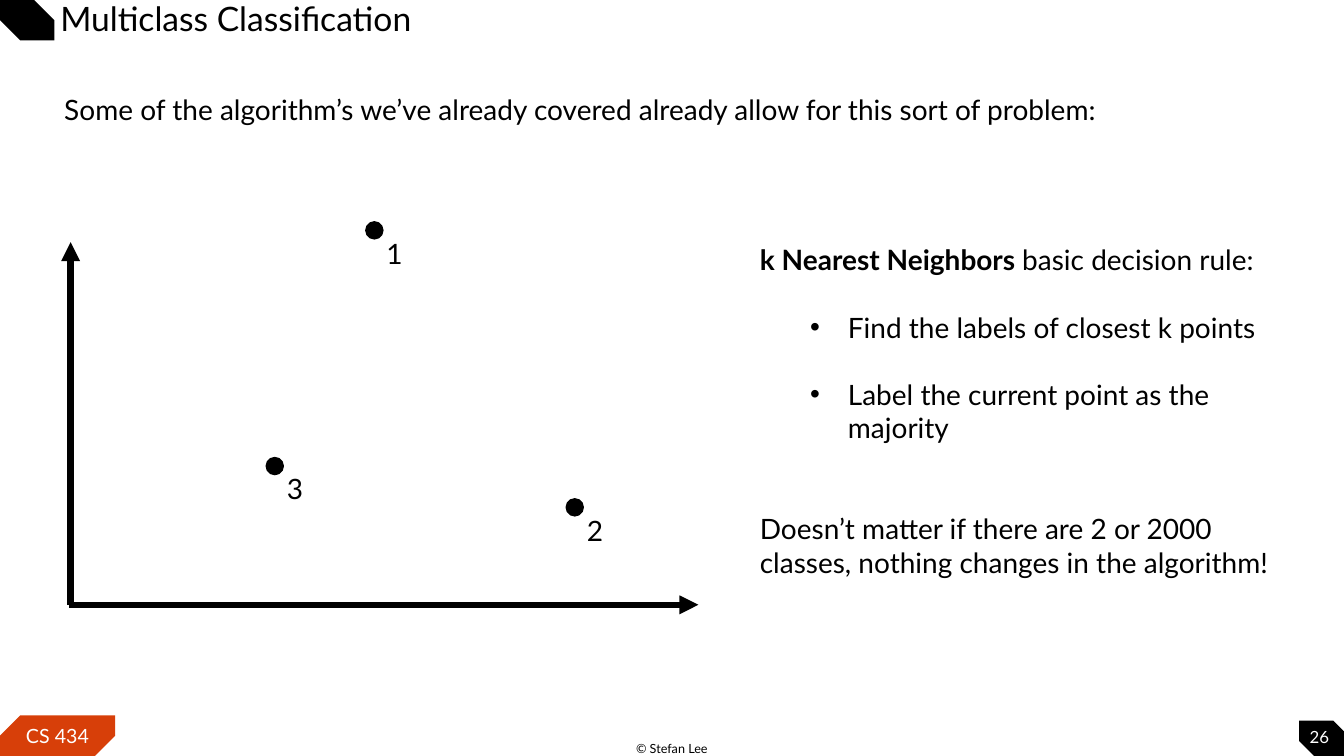
"""Build the slide on multiclass classification with k nearest neighbors."""
from lxml import etree
from pptx import Presentation
from pptx.dml.color import RGBColor
from pptx.enum.shapes import MSO_CONNECTOR as Connector, MSO_SHAPE as Shape
from pptx.enum.text import MSO_ANCHOR as Anchor, PP_ALIGN as Align
from pptx.oxml.ns import qn
from pptx.util import Cm, Pt

BLACK, WHITE, ORANGE = "000000", "FFFFFF", "D73F09"


def color(value):
    """Turn a hex string into a color."""
    return RGBColor.from_string(value)


def apply_format(target, values):
    """Set each attribute in values on target."""
    for name, value in values.items():
        setattr(target, name, value)


class SlideBuilder:
    """Hold the style and the current slide."""

    font_name = "Lato"
    inset = (0.25, 0.13, 0.25, 0.13)

    def __init__(self, slide):
        """Keep the slide to draw on."""
        self.slide = slide

    def add_runs(self, paragraph, runs, size, ink=BLACK, **layout):
        """Fill a paragraph with (text, bold) runs."""
        apply_format(paragraph, layout)
        for text, bold in runs:
            run = paragraph.add_run()
            run.text = text
            apply_format(run.font, {"name": self.font_name, "size": Pt(size), "bold": bold})
            run.font.color.rgb = color(ink)

    def frame(self, shape, inset=inset, anchor=Anchor.TOP, wrap=True):
        """Set the margins, anchor and wrapping of a shape's text."""
        left, top, right, bottom = map(Cm, inset)
        frame = shape.text_frame
        apply_format(frame, {
            "margin_left": left, "margin_top": top, "margin_right": right,
            "margin_bottom": bottom, "vertical_anchor": anchor, "word_wrap": wrap,
        })
        return frame

    def text(self, box, text, size, ink=BLACK, layout=None, **frame_format):
        """Add a text box with one paragraph."""
        shape = self.slide.shapes.add_textbox(*map(Cm, box))
        frame = self.frame(shape, **frame_format)
        self.add_runs(frame.paragraphs[0], [(text, False)], size, ink, **(layout or {}))

    def paragraphs(self, box, items, size):
        """Add a text box of (runs, bulleted, space before) paragraphs."""
        frame = self.frame(self.slide.shapes.add_textbox(*map(Cm, box)))
        for index, (runs, bulleted, space) in enumerate(items):
            paragraph = frame.add_paragraph() if index else frame.paragraphs[0]
            if bulleted:
                self.bullet(paragraph)
            self.add_runs(paragraph, runs, size, space_before=Pt(space))

    def bullet(self, paragraph):
        """Give a paragraph a bullet and a hanging indent."""
        properties = paragraph._p.get_or_add_pPr()
        properties.set("marL", str(Cm(2.22)))
        properties.set("indent", str(-Cm(0.95)))
        etree.SubElement(properties, qn("a:buFont")).set("typeface", "Arial")
        etree.SubElement(properties, qn("a:buChar")).set("char", "•")

    def shape(self, kind, box, fill, adjustments=()):
        """Add a filled shape without an outline."""
        shape = self.slide.shapes.add_shape(kind, *map(Cm, box))
        shape.shadow.inherit = False
        shape.fill.solid()
        shape.fill.fore_color.rgb = color(fill)
        shape.line.fill.background()
        for index, value in enumerate(adjustments):
            shape.adjustments[index] = value
        return shape

    def tab(self, box, fill, adjustments, label=None):
        """Add a corner tab, with a centered label if given."""
        shape = self.shape(Shape.SNIP_2_DIAG_RECTANGLE, box, fill, adjustments)
        if label:
            frame = self.frame(shape, anchor=Anchor.MIDDLE)
            self.add_runs(frame.paragraphs[0], [(label, False)], 14, WHITE,
                          alignment=Align.CENTER)

    def arrow(self, start, end):
        """Add a thick line with an arrowhead at its end."""
        connector = self.slide.shapes.add_connector(Connector.STRAIGHT, *map(Cm, start + end))
        connector.line.width = Pt(4.5)
        connector.line.color.rgb = color(BLACK)
        properties = connector._element.spPr
        etree.SubElement(properties.find(qn("a:ln")), qn("a:tailEnd")).set("type", "triangle")
        etree.SubElement(properties, qn("a:effectLst"))

    def point(self, left, top, label):
        """Add a data point with its label at the lower right."""
        dot = self.shape(Shape.OVAL, (left, top, 0.43, 0.43), BLACK)
        dot.line.color.rgb = color(BLACK)
        dot.line.width = Pt(1)
        self.text((left + 0.27, top + 0.23, 0.64, 1.12), label, 20,
                  inset=(0.25, 0.13, 0, 0.13), wrap=False)


def main():
    """Draw the slide and save it."""
    presentation = Presentation()
    presentation.slide_width, presentation.slide_height = Cm(33.87), Cm(19.05)
    builder = SlideBuilder(presentation.slides.add_slide(presentation.slide_layouts[6]))
    centered = {"alignment": Align.CENTER}

    builder.tab((32.74, 18.16, 1.37, 1.02), BLACK, (0, 0.5))
    builder.tab((0, 18.03, 2.9, 1.02), ORANGE, (0.5, 0), "CS 434")
    builder.tab((0, 0, 1.37, 1.02), BLACK, (0, 0.5))
    builder.text((15.57, 18.54, 2.72, 0.64), "© Stefan Lee", 9, layout=centered)
    builder.text((0, 0.03, 28.75, 0.99), "Multiclass Classification", 24,
                 layout={"line_spacing": 0.9}, inset=(1.52, 0.13, 0.13, 0.13),
                 anchor=Anchor.MIDDLE)
    builder.text((32.74, 18.16, 1.02, 0.79), "26", 12, WHITE, centered,
                 inset=(0, 0, 0, 0), anchor=Anchor.MIDDLE)
    builder.text((1.37, 2.21, 29.49, 1.12),
                 "Some of the algorithm’s we’ve already covered already allow "
                 "for this sort of problem:", 20)

    builder.arrow((1.73, 15.24), (17.6, 15.24))
    builder.arrow((1.78, 15.24), (1.78, 6.1))
    for left, top, label in ((9.22, 5.59, "1"), (14.27, 12.57, "2"), (6.71, 11.53, "3")):
        builder.point(left, top, label)

    builder.paragraphs((18.9, 5.99, 14.17, 8.81), [
        ([("k Nearest Neighbors ", True), ("basic decision rule:", False)], False, 0),
        ([("Find the labels of closest k points", False)], True, 24),
        ([("Label the current point as the majority", False)], True, 24),
        ([("Doesn’t matter if there are 2 or 2000 classes, "
           "nothing changes in the algorithm!", False)], False, 48),
    ], 20)
    presentation.save("out.pptx")


if __name__ == "__main__":
    main()
